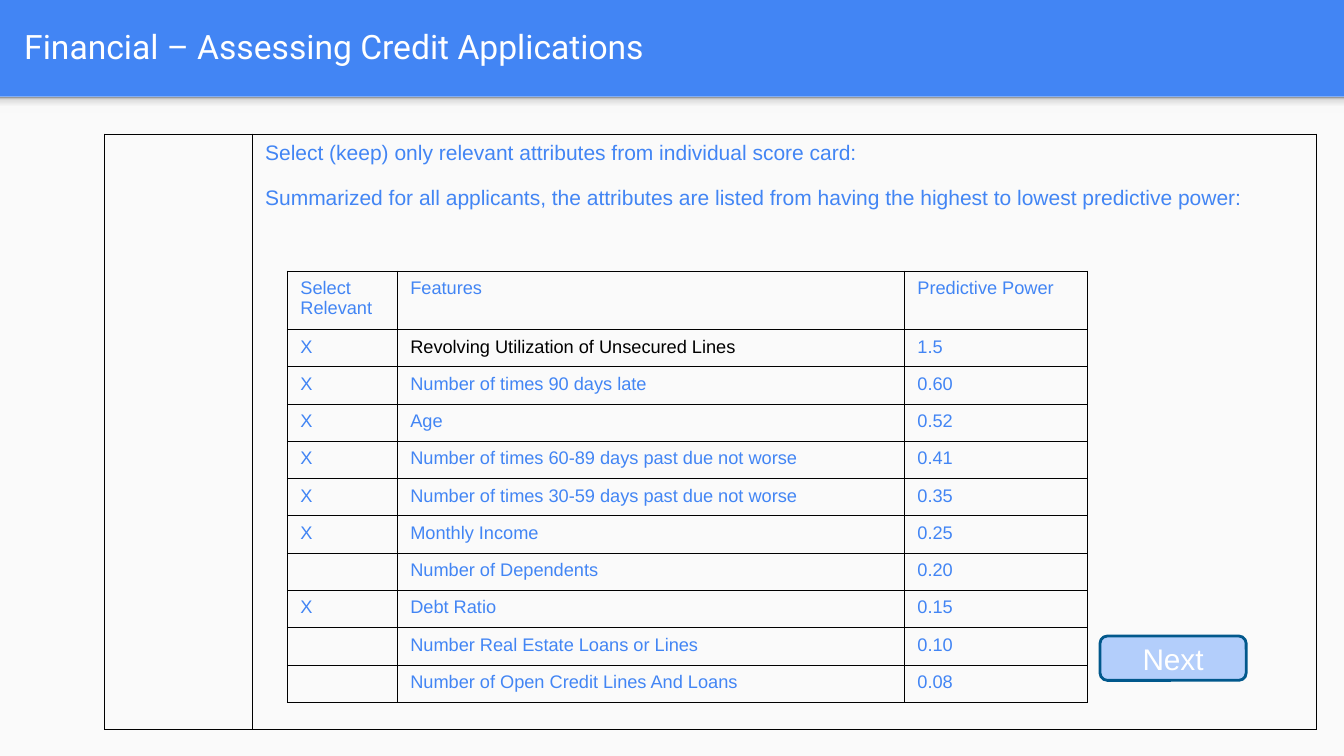
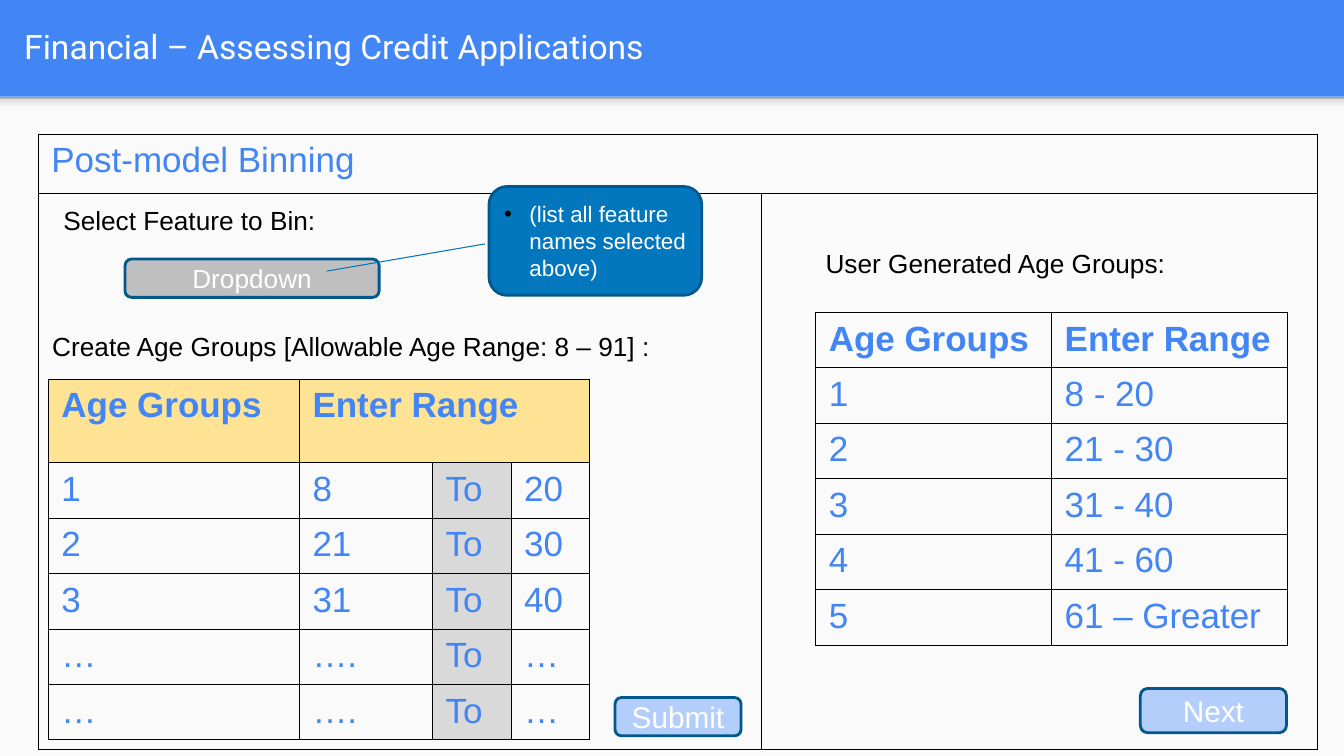
from dataclasses import dataclass, field

from lxml.etree import SubElement
from pptx import Presentation
from pptx.dml.color import RGBColor
from pptx.enum.shapes import MSO_CONNECTOR, MSO_SHAPE
from pptx.enum.text import MSO_ANCHOR, MSO_AUTO_SIZE, PP_ALIGN
from pptx.oxml import parse_xml
from pptx.oxml.ns import nsdecls, qn
from pptx.shapes.autoshape import Shape
from pptx.slide import Slide
from pptx.table import Table, _Cell
from pptx.text.text import _Paragraph
from pptx.util import Inches, Pt


@dataclass(frozen=True)
class Theme:
    blue: str = "4285F4"
    page: str = "FAFAFA"
    white: str = "FFFFFF"
    black: str = "000000"
    button: str = "B3CEFB"
    button_line: str = "01588C"
    dropdown: str = "BFBFBF"
    callout: str = "0277BD"
    connector: str = "0075BB"
    header: str = "FFE395"
    separator: str = "D9D9D9"
    body_font: str = "Arial"
    title_font: str = "Roboto"
    title_size: float = 24
    heading_size: float = 25
    button_size: float = 21.3
    label_size: float = 18.7
    callout_size: float = 16
    text_size: float = 15
    table_size: float = 13


THEME = Theme()
BAND_HEIGHT = 0.96
SHADE_STOPS = ((0, "F9F9F9"), (36, "F9F9F9"), (80, "DEDEDE"), (100, "999999"))


@dataclass(frozen=True)
class Box:
    left: float
    top: float
    width: float
    height: float

    def lengths(self) -> list[int]:
        return [Inches(side) for side in (self.left, self.top, self.width, self.height)]


@dataclass(frozen=True)
class Grid:
    left: float
    top: float
    columns: list[float]
    heights: list[float]
    rows: list[list[str]]
    size: float = THEME.heading_size
    bold_header: bool = False
    merge_from: int | None = None
    fills: dict[tuple[int, int], str] = field(default_factory=dict)
    colors: dict[tuple[int, int], str] = field(default_factory=dict)


@dataclass(frozen=True)
class Button:
    text: str
    box: Box
    fill: str = THEME.button
    size: float = THEME.button_size


@dataclass(frozen=True)
class Label:
    text: str
    box: Box


def color(value: str) -> RGBColor:
    return RGBColor.from_string(value)


def format_runs(paragraph: _Paragraph, size: float, value: str,
                font: str = THEME.body_font, bold: bool = False) -> None:
    for run in paragraph.runs:
        run.font.size = Pt(size)
        run.font.name = font
        run.font.bold = bold
        run.font.color.rgb = color(value)


def add_panel(slide: Slide, box: Box) -> Shape:
    shape = slide.shapes.add_shape(MSO_SHAPE.RECTANGLE, *box.lengths())
    shape.shadow.inherit = False
    shape.line.fill.background()
    shape.fill.solid()
    shape.fill.fore_color.rgb = color(THEME.page)
    return shape


def shade_panel(shape: Shape) -> None:
    shape.fill.gradient()
    shape.fill.gradient_angle = 90
    stops = shape.fill._fill._gradFill.find(qn("a:gsLst"))
    for stop in list(stops):
        stops.remove(stop)
    for position, value in SHADE_STOPS:
        stop = SubElement(stops, qn("a:gs"), pos=str(position * 1000))
        SubElement(stop, qn("a:srgbClr"), val=value)


def add_base_slide(presentation: Presentation, title_text: str) -> Slide:
    slide = presentation.slides.add_slide(presentation.slide_layouts.get_by_name("Title Only"))
    title = slide.shapes.title
    title.left, title.top, title.width, title.height = Box(0.14, 0.02, 12.87, 0.88).lengths()
    text_frame = title.text_frame
    text_frame.text = title_text
    text_frame.vertical_anchor = MSO_ANCHOR.MIDDLE
    text_frame.margin_left = text_frame.margin_right = Inches(0.1)
    text_frame.margin_top = text_frame.margin_bottom = Inches(0.1)
    paragraph = text_frame.paragraphs[0]
    paragraph.alignment = PP_ALIGN.LEFT
    format_runs(paragraph, THEME.title_size, THEME.white, THEME.title_font)
    add_panel(slide, Box(0, BAND_HEIGHT, 13.33, 7.5 - BAND_HEIGHT))
    shade_panel(add_panel(slide, Box(0, BAND_HEIGHT, 13.33, 0.16)))
    return slide


def add_borders(cell: _Cell) -> None:
    properties = cell._tc.get_or_add_tcPr()
    for side in ("lnL", "lnR", "lnT", "lnB"):
        properties.append(parse_xml(
            f'<a:{side} {nsdecls("a")} w="9525"><a:solidFill>'
            f'<a:srgbClr val="{THEME.black}"/></a:solidFill></a:{side}>'))


def format_cell(cell: _Cell, text: str, size: float, value: str,
                bold: bool, fill: str | None) -> None:
    cell.margin_left = cell.margin_right = Inches(0.13)
    cell.margin_top = cell.margin_bottom = Inches(0.07)
    cell.text_frame.text = text
    for paragraph in cell.text_frame.paragraphs:
        format_runs(paragraph, size, value, bold=bold)
        if not paragraph.runs:
            SubElement(paragraph._p, qn("a:endParaRPr"), sz=str(round(size * 100)))
    add_borders(cell)
    if fill:
        cell.fill.solid()
        cell.fill.fore_color.rgb = color(fill)
    else:
        cell.fill.background()


def add_grid(slide: Slide, grid: Grid) -> Table:
    box = Box(grid.left, grid.top, sum(grid.columns), sum(grid.heights))
    table = slide.shapes.add_table(len(grid.rows), len(grid.columns), *box.lengths()).table
    table.first_row = table.horz_banding = False
    for column, width in zip(table.columns, grid.columns):
        column.width = Inches(width)
    for row, height in zip(table.rows, grid.heights):
        row.height = Inches(height)
    for row_index, texts in enumerate(grid.rows):
        for column_index, text in enumerate(texts):
            place = (row_index, column_index)
            format_cell(table.cell(*place), text, grid.size,
                        grid.colors.get(place, THEME.blue),
                        grid.bold_header and row_index == 0, grid.fills.get(place))
    if grid.merge_from is not None:
        table.cell(0, grid.merge_from).merge(table.cell(0, len(grid.columns) - 1))
    return table


def add_button(slide: Slide, button: Button) -> Shape:
    shape = slide.shapes.add_shape(MSO_SHAPE.ROUNDED_RECTANGLE, *button.box.lengths())
    shape.shadow.inherit = False
    shape.fill.solid()
    shape.fill.fore_color.rgb = color(button.fill)
    shape.line.color.rgb = color(THEME.button_line)
    shape.line.width = Pt(2)
    text_frame = shape.text_frame
    text_frame.text = button.text
    text_frame.word_wrap = True
    text_frame.vertical_anchor = MSO_ANCHOR.MIDDLE
    paragraph = text_frame.paragraphs[0]
    paragraph.alignment = PP_ALIGN.CENTER
    format_runs(paragraph, button.size, THEME.white)
    return shape


def add_bullet(paragraph: _Paragraph) -> None:
    paragraph.alignment = PP_ALIGN.LEFT
    properties = paragraph._p.get_or_add_pPr()
    properties.set("marL", str(Inches(0.25)))
    properties.set("indent", str(Inches(-0.25)))
    bullet_color = SubElement(properties, qn("a:buClr"))
    SubElement(bullet_color, qn("a:srgbClr"), val=THEME.black)
    SubElement(properties, qn("a:buFont"), typeface=THEME.body_font)
    SubElement(properties, qn("a:buChar"), char="•")


def add_label(slide: Slide, label: Label) -> None:
    text_frame = slide.shapes.add_textbox(*label.box.lengths()).text_frame
    text_frame.word_wrap = True
    text_frame.auto_size = MSO_AUTO_SIZE.SHAPE_TO_FIT_TEXT
    text_frame.text = label.text
    format_runs(text_frame.paragraphs[0], THEME.label_size, THEME.black)


def add_callout_line(slide: Slide) -> None:
    ends = [Inches(value) for value in (3.24, 2.69, 4.81, 2.42)]
    connector = slide.shapes.add_connector(MSO_CONNECTOR.STRAIGHT, *ends)
    connector.line.color.rgb = color(THEME.connector)
    connector.line.width = Pt(0.75)
    SubElement(connector._element.spPr, qn("a:effectLst"))


def build_feature_slide(presentation: Presentation, title: str) -> None:
    slide = add_base_slide(presentation, title)
    instructions = (
        "Select (keep) only relevant attributes from individual score card:\n"
        "Summarized for all applicants, the attributes are listed from having "
        "the highest to lowest predictive power:")
    frame = add_grid(slide, Grid(1.04, 1.33, [1.46, 10.56], [5.91], [["", instructions]],
                                 size=THEME.text_size))
    frame.cell(0, 1).text_frame.paragraphs[1].space_before = Pt(15.5)
    features = [
        ["Select Relevant", "Features", "Predictive Power"],
        ["X", "Revolving Utilization of Unsecured Lines", "1.5"],
        ["X", "Number of times 90 days late", "0.60"],
        ["X", "Age", "0.52"],
        ["X", "Number of times 60-89 days past due not worse", "0.41"],
        ["X", "Number of times 30-59 days past due not worse", "0.35"],
        ["X", "Monthly Income", "0.25"],
        ["", "Number of Dependents", "0.20"],
        ["X", "Debt Ratio", "0.15"],
        ["", "Number Real Estate Loans or Lines", "0.10"],
        ["", "Number of Open Credit Lines And Loans", "0.08"],
    ]
    add_grid(slide, Grid(2.85, 2.69, [1.09, 5.03, 1.82], [0.58] + [0.37] * 10, features,
                         size=THEME.table_size, colors={(1, 1): THEME.black}))
    add_button(slide, Button("Next", Box(10.91, 6.31, 1.45, 0.44)))


def build_binning_slide(presentation: Presentation, title: str) -> None:
    slide = add_base_slide(presentation, title)
    add_grid(slide, Grid(0.38, 1.33, [7.17, 5.52], [0.59, 5.52],
                         [["Post-model Binning", ""], ["", ""]], merge_from=0))
    bounds = [("1", "8", "20"), ("2", "21", "30"), ("3", "31", "40")] + [("…", "….", "…")] * 2
    entry_rows = [["Age Groups", "Enter Range", "", ""]]
    entry_rows += [[group, low, "To", high] for group, low, high in bounds]
    fills = {(0, column): THEME.header for column in range(4)}
    fills |= {(row, 2): THEME.separator for row in range(1, 6)}
    add_grid(slide, Grid(0.48, 3.76, [2.49, 1.32, 0.78, 0.78], [0.83] + [0.55] * 5, entry_rows,
                         bold_header=True, merge_from=1, fills=fills))
    ranges = ["8 - 20", "21 - 30", "31 - 40", "41 - 60", "61 – Greater"]
    group_rows = [["Age Groups", "Enter Range"]]
    group_rows += [[str(number), text] for number, text in enumerate(ranges, 1)]
    add_grid(slide, Grid(8.09, 3.1, [2.34] * 2, [0.55] * 6, group_rows, bold_header=True))
    for button in (
        Button("Submit", Box(6.1, 6.92, 1.25, 0.38)),
        Button("Dropdown", Box(1.24, 2.57, 2.52, 0.38), THEME.dropdown, THEME.label_size),
        Button("Next", Box(11.31, 6.83, 1.45, 0.44)),
    ):
        add_button(slide, button)
    callout = add_button(slide, Button("(list all feature names selected above)",
                                       Box(4.85, 1.85, 2.11, 1.08),
                                       THEME.callout, THEME.callout_size))
    add_bullet(callout.text_frame.paragraphs[0])
    add_callout_line(slide)
    for label in (
        Label("Select Feature to Bin:", Box(0.53, 1.98, 4.2, 0.42)),
        Label("Create Age Groups [Allowable Age Range: 8 – 91] :", Box(0.42, 3.23, 6.84, 0.42)),
        Label("User Generated Age Groups:", Box(8.09, 2.4, 4.2, 0.42)),
    ):
        add_label(slide, label)


def main() -> None:
    presentation = Presentation()
    presentation.slide_width = Inches(13.33)
    presentation.slide_height = Inches(7.5)
    background = presentation.slide_master.background.fill
    background.solid()
    background.fore_color.rgb = color(THEME.blue)
    title = "Financial – Assessing Credit Applications"
    build_feature_slide(presentation, title)
    build_binning_slide(presentation, title)
    presentation.save("out.pptx")


main()
